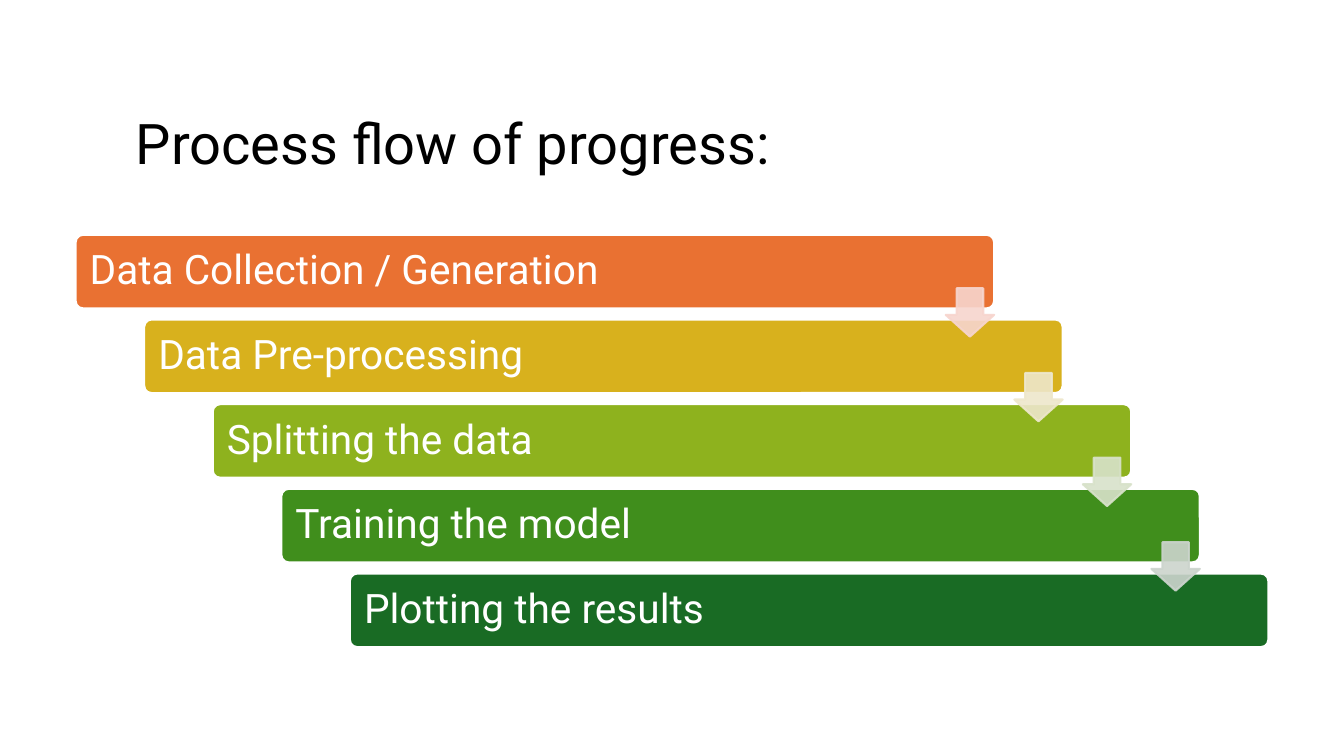
from dataclasses import dataclass

from lxml.etree import SubElement
from pptx import Presentation
from pptx.dml.color import RGBColor
from pptx.enum.shapes import MSO_SHAPE as Kind
from pptx.enum.text import MSO_ANCHOR as Anchor
from pptx.oxml.ns import qn
from pptx.util import Inches, Pt

# Colours and type
BLACK = RGBColor(0x00, 0x00, 0x00)
WHITE = RGBColor(0xFF, 0xFF, 0xFF)
ORANGE = RGBColor(0xE9, 0x71, 0x32)
GOLD = RGBColor(0xD8, 0xB1, 0x1D)
LIME = RGBColor(0x8E, 0xB2, 0x1E)
GREEN = RGBColor(0x40, 0x8E, 0x1C)
FOREST = RGBColor(0x19, 0x6B, 0x24)
PINK = RGBColor(0xF7, 0xD5, 0xCE)
CREAM = RGBColor(0xEE, 0xE7, 0xCB)
MINT = RGBColor(0xD8, 0xE2, 0xCA)
SILVER = RGBColor(0xCC, 0xD4, 0xCD)
FONT = "Roboto"

# Staircase layout, in inches
LEFT, TOP = 0.75, 2.33
STEP_X, STEP_Y = 0.68, 0.84
BAR_W, BAR_H = 9.11, 0.73
ARROW_X, ARROW_Y, ARROW = 8.63, 0.53, 0.48
INSET = 0.02


@dataclass
class Step:
    label: str
    fill: RGBColor
    text_w: float = 7.91
    arrow: RGBColor | None = None

STEPS = [
    Step("Data Collection / Generation", ORANGE, 8.23, arrow=PINK),
    Step("Data Pre-processing", GOLD, arrow=CREAM),
    Step("Splitting the data", LIME, arrow=MINT),
    Step("Training the model", GREEN, arrow=SILVER),
    Step("Plotting the results", FOREST),
]


def add_text(shapes, text: str, box: tuple, size: int, color: RGBColor,
             **frame_format) -> None:
    frame = shapes.add_textbox(*map(Inches, box)).text_frame
    values = {"word_wrap": True, "vertical_anchor": Anchor.MIDDLE}
    for name, value in (values | frame_format).items():
        setattr(frame, name, value)
    line = frame.paragraphs[0]
    line.line_spacing = 0.9
    run = line.add_run()
    run.text = text
    for name, value in {"name": FONT, "size": Pt(size)}.items():
        setattr(run.font, name, value)
    run.font.color.rgb = color


def add_block(shapes, kind: Kind, box: tuple, adjust: tuple,
              fill: RGBColor, edge: RGBColor):
    shape = shapes.add_shape(kind, *map(Inches, box))
    shape.shadow.inherit = False
    for i, value in enumerate(adjust):
        shape.adjustments[i] = value
    shape.fill.solid()
    shape.fill.fore_color.rgb = fill
    shape.line.color.rgb = edge
    shape.line.width = Pt(1.5)
    return shape


def add_bar(shapes, step: Step, x: float, y: float) -> None:
    add_block(shapes, Kind.ROUNDED_RECTANGLE, (x, y, BAR_W, BAR_H), (0.1,),
              step.fill, WHITE)
    sides = ("left", "top", "right", "bottom")
    margins = {f"margin_{side}": Inches(0.12) for side in sides}
    box = (x + INSET, y + INSET, step.text_w, BAR_H - 2 * INSET)
    add_text(shapes, step.label, box, 29, WHITE, **margins)


def add_arrow(shapes, color: RGBColor, x: float, y: float) -> None:
    box = (x + ARROW_X, y + ARROW_Y, ARROW, ARROW)
    arrow = add_block(shapes, Kind.DOWN_ARROW, box, (0.55, 0.45), color, color)
    # Fill and outline are 90% opaque
    for tone in arrow.element.spPr.iter(qn("a:srgbClr")):
        SubElement(tone, qn("a:alpha"), val="90000")


def main() -> None:
    deck = Presentation()
    deck.slide_width, deck.slide_height = Inches(13.33), Inches(7.5)
    shapes = deck.slides.add_slide(deck.slide_layouts[6]).shapes

    # Title
    add_text(shapes, "Process flow of progress:", (1.25, 1.08, 10.83, 0.75),
             40, BLACK)

    # Bars first, so the arrows lie on top
    spots = [(step, LEFT + i * STEP_X, TOP + i * STEP_Y)
             for i, step in enumerate(STEPS)]
    for step, x, y in spots:
        add_bar(shapes, step, x, y)
    for step, x, y in spots:
        if step.arrow is not None:
            add_arrow(shapes, step.arrow, x, y)

    deck.save("out.pptx")


if __name__ == "__main__":
    main()
